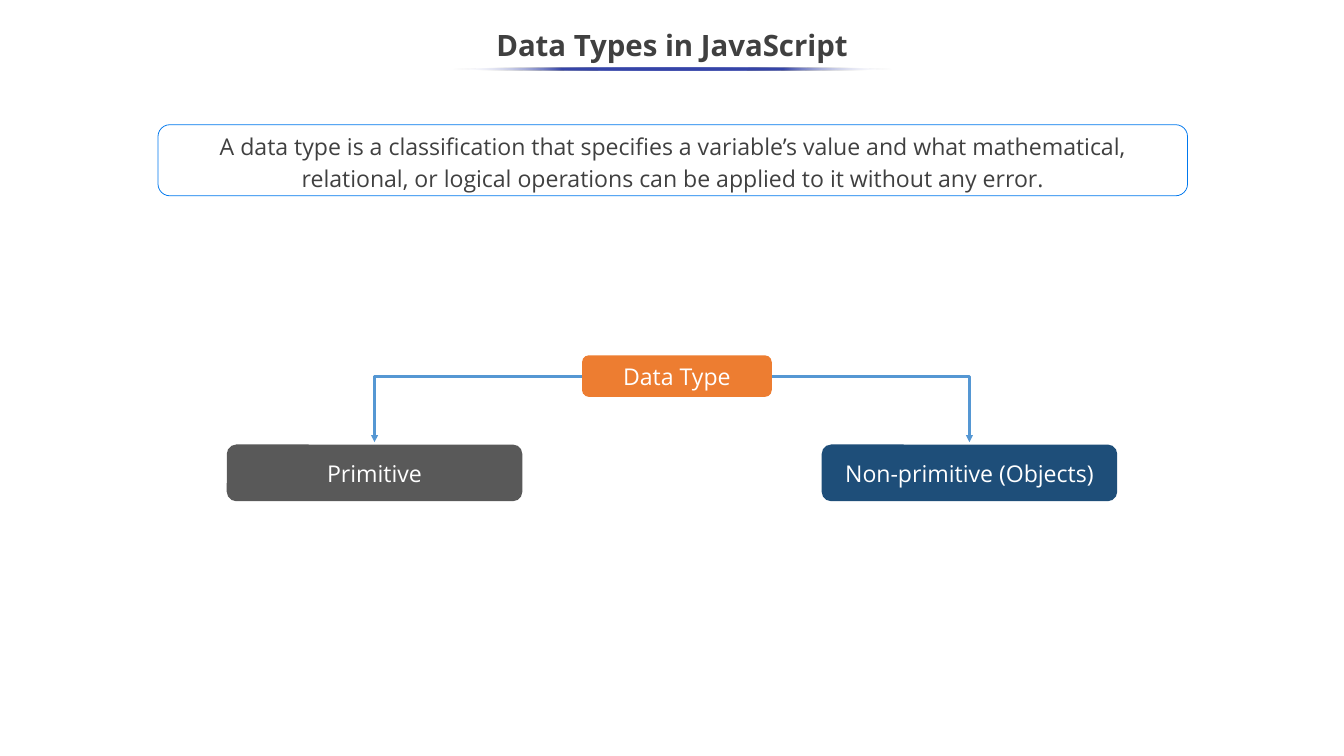
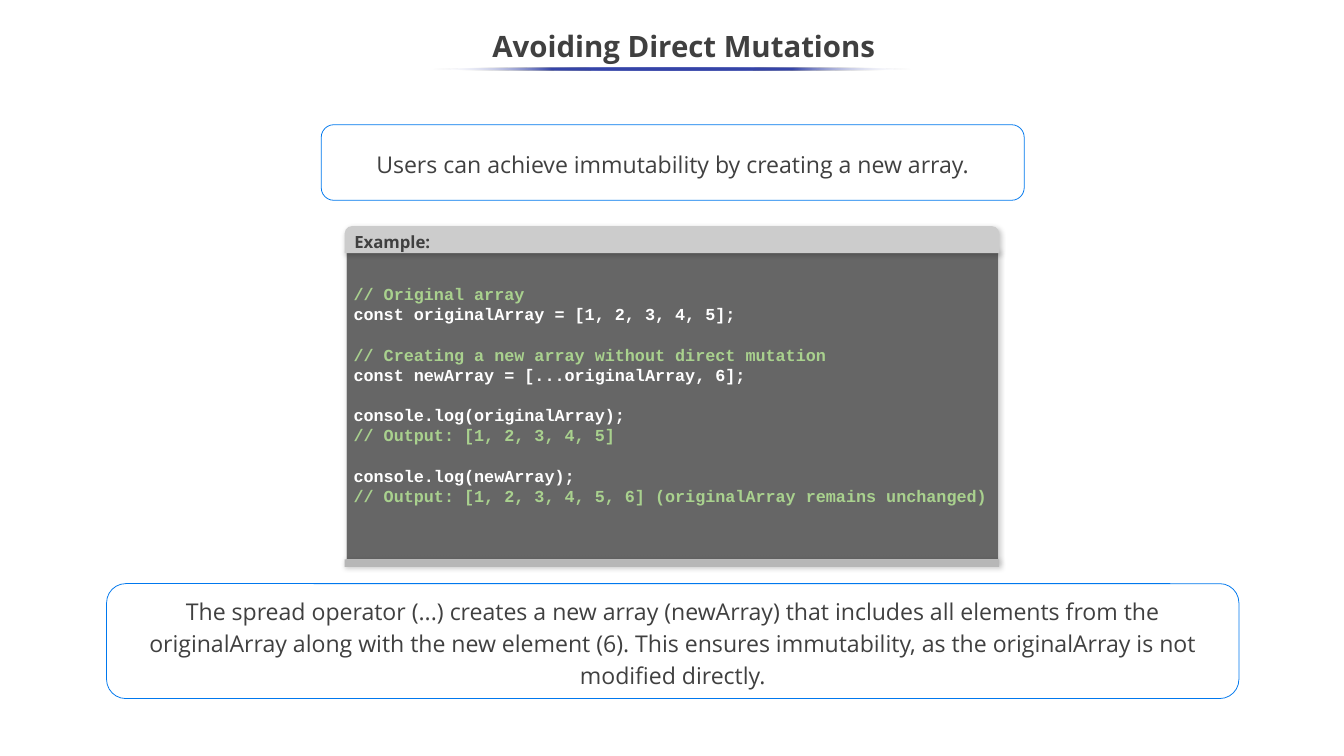
from typing import NamedTuple, Optional

from lxml import etree
from pptx import Presentation
from pptx.dml.color import RGBColor
from pptx.enum.shapes import MSO_CONNECTOR, MSO_SHAPE as Shape
from pptx.enum.text import MSO_ANCHOR, PP_ALIGN as Align
from pptx.oxml.ns import qn
from pptx.util import Inches, Pt

WHITE = RGBColor(0xFF, 0xFF, 0xFF)
BLACK = RGBColor(0x00, 0x00, 0x00)
TEXT = RGBColor(0x40, 0x40, 0x40)
INDIGO = RGBColor(0x36, 0x45, 0xA9)
BLUE = RGBColor(0x00, 0x78, 0xEE)
ARROW_BLUE = RGBColor(0x55, 0x97, 0xD3)
ORANGE = RGBColor(0xED, 0x7D, 0x31)
DARK_GREY = RGBColor(0x59, 0x59, 0x59)
NAVY = RGBColor(0x1E, 0x4E, 0x79)
CODE_BG = RGBColor(0x66, 0x66, 0x66)
HEADER_GREY = RGBColor(0xCC, 0xCC, 0xCC)
FOOTER_GREY = RGBColor(0xB7, 0xB7, 0xB7)
COMMENT_GREEN = RGBColor(0xA9, 0xD1, 0x8E)

SANS, MONO = "Open Sans", "Courier New"
SLIDE_W, SLIDE_H = 17.78, 10
RULE_TOP, RULE_H = 0.89, 0.04
CODE_LINE = Pt(19.2)


class Box(NamedTuple):
    left: float
    top: float
    width: float
    height: float

    def lengths(self) -> list:
        return [Inches(v) for v in self]


class Style(NamedTuple):
    size: float = 22
    color: RGBColor = TEXT
    bold: bool = False
    font: str = SANS


class Node(NamedTuple):
    text: str
    box: Box
    fill: RGBColor


TITLE = Style(28, bold=True)
BODY = Style()
NODE_TEXT = Style(color=WHITE)
EXAMPLE = Style(16, bold=True)
CODE = Style(16, WHITE, True, MONO)
COMMENT = CODE._replace(color=COMMENT_GREEN)

ROOT = Node("Data Type", Box(7.7, 4.7, 2.51, 0.55), ORANGE)
BRANCHES = [
    Node("Primitive", Box(3, 5.88, 3.91, 0.75), DARK_GREY),
    Node("Non-primitive (Objects)", Box(10.87, 5.88, 3.91, 0.75), NAVY),
]

CODE_GROUPS = [
    ["// Original array", "const originalArray = [1, 2, 3, 4, 5];"],
    ["// Creating a new array without direct mutation",
     "const newArray = [...originalArray, 6];"],
    ["console.log(originalArray);", "// Output: [1, 2, 3, 4, 5]"],
    ["console.log(newArray);",
     "// Output: [1, 2, 3, 4, 5, 6] (originalArray remains unchanged)"],
]


def add_run(p, text: str, style: Style) -> None:
    r = p.add_run()
    r.text = text
    r.font.name, r.font.size, r.font.bold = style.font, Pt(style.size), style.bold
    r.font.color.rgb = style.color


def prepare_text(sp, side: float, edge: float):
    """Set wrapping, middle anchoring and insets; return the text frame."""
    tf = sp.text_frame
    tf.word_wrap = True
    tf.vertical_anchor = MSO_ANCHOR.MIDDLE
    tf.margin_left = tf.margin_right = Inches(side)
    tf.margin_top = tf.margin_bottom = Inches(edge)
    return tf


def write(sp, text: str, style: Style, align=Align.CENTER,
          spacing: Optional[float] = None, edge: float = 0.05):
    p = prepare_text(sp, 0.1, edge).paragraphs[0]
    p.alignment = align
    if spacing:
        p.line_spacing = spacing
    add_run(p, text, style)
    return p


def add_shape(s, kind, box: Box, fill: Optional[RGBColor] = None,
              line: Optional[RGBColor] = None):
    sp = s.shapes.add_shape(kind, *box.lengths())
    sp.shadow.inherit = False
    if fill is None:
        sp.fill.background()
    else:
        sp.fill.solid()
        sp.fill.fore_color.rgb = fill
    if line is None:
        sp.line.fill.background()
    else:
        sp.line.color.rgb = line
        sp.line.width = Pt(0.75)
    return sp


def add_color(parent, color: RGBColor, alpha: int = 100) -> None:
    clr = etree.SubElement(parent, qn("a:srgbClr"), val=str(color))
    etree.SubElement(clr, qn("a:alpha"), val=str(alpha * 1000))


def add_shadow(sp) -> None:
    effects = sp.element.spPr.find(qn("a:effectLst"))
    shadow = etree.SubElement(
        effects, qn("a:outerShdw"), blurRad=str(Pt(4.5)), dist=str(Pt(1.5)),
        dir=str(47 * 60000), algn="tl", rotWithShape="0")
    add_color(shadow, BLACK, 20)


def add_title(s, text: str, box: Box, rule_left: float, rule_width: float,
              spacing: Optional[float] = None, indent: float = 0) -> None:
    """Add a centred title and the rule under it, which fades at both ends."""
    p = write(s.shapes.add_textbox(*box.lengths()), text, TITLE, spacing=spacing)
    if indent:
        p._p.get_or_add_pPr().set("marL", str(Inches(indent)))
    rule = add_shape(s, Shape.OVAL, Box(rule_left, RULE_TOP, rule_width, RULE_H))
    rule.fill.gradient()
    rule.fill.gradient_angle = 0
    stops = rule.element.spPr.find(qn("a:gradFill")).find(qn("a:gsLst"))
    for stop in list(stops):
        stops.remove(stop)
    for pos in range(0, 101, 25):
        stop = etree.SubElement(stops, qn("a:gs"), pos=str(pos * 1000))
        if pos in (0, 100):
            add_color(stop, WHITE, 0)
        else:
            add_color(stop, INDIGO)


def add_callout(s, text: str, box: Box) -> None:
    sp = add_shape(s, Shape.ROUNDED_RECTANGLE, box, line=BLUE)
    write(sp, text, BODY, spacing=1.15, edge=0)


def add_node(s, node: Node) -> None:
    sp = add_shape(s, Shape.ROUNDED_RECTANGLE, node.box, node.fill)
    write(sp, node.text, NODE_TEXT)


def add_branch_arrow(s, start_x: float, end_x: float) -> None:
    """Draw an arrow that runs sideways from the root, then down to a branch."""
    c = s.shapes.add_connector(MSO_CONNECTOR.ELBOW, Inches(start_x), Inches(4.98),
                               Inches(end_x), Inches(5.85))
    c.line.color.rgb = ARROW_BLUE
    c.line.width = Pt(2.25)
    spPr = c._element.spPr
    spPr.find(qn("a:prstGeom")).set("prst", "bentConnector2")
    etree.SubElement(spPr.find(qn("a:ln")), qn("a:tailEnd"), type="triangle")
    etree.SubElement(spPr, qn("a:effectLst"))


def add_code_panel(s) -> None:
    body = add_shape(s, Shape.RECTANGLE, Box(4.58, 3.31, 8.63, 4.09),
                     CODE_BG, HEADER_GREY)
    tf = prepare_text(body, 0.1, 0.1)
    tf.margin_bottom = Inches(0.1) + CODE_LINE
    p = tf.paragraphs[0]
    for g, group in enumerate(CODE_GROUPS):
        for i, line in enumerate(group):
            if g or i:
                p = tf.add_paragraph()
            p.alignment = Align.LEFT
            if g and i == 0:
                p.space_before = CODE_LINE
            add_run(p, line, COMMENT if line.startswith("//") else CODE)

    header = add_shape(s, Shape.ROUND_2_SAME_RECTANGLE,
                       Box(4.56, 2.99, 8.66, 0.36), HEADER_GREY)
    header.adjustments[0] = 0.28
    write(header, "Example:", EXAMPLE, Align.LEFT, 1.15, 0.1)
    footer = add_shape(s, Shape.RECTANGLE, Box(4.56, 7.4, 8.66, 0.1), FOOTER_GREY)
    for sp in (body, header, footer):
        add_shadow(sp)


def build_data_types(s) -> None:
    add_title(s, "Data Types in JavaScript", Box(-0.01, 0.25, 17.8, 0.75),
              5.99, 5.82, spacing=0.9)
    root_sides = (ROOT.box.left, 10.08)
    for start_x, branch in zip(root_sides, BRANCHES):
        add_branch_arrow(s, start_x, branch.box.left + branch.box.width / 2)
    for node in [ROOT, *BRANCHES]:
        add_node(s, node)
    add_callout(s, "A data type is a classification that specifies a variable’s value "
                "and what mathematical, relational, or logical operations can be "
                "applied to it without any error.", Box(2.09, 1.65, 13.62, 0.94))


def build_mutations(s) -> None:
    add_title(s, "Avoiding Direct Mutations", Box(0.02, 0.23, 17.8, 0.75),
              5.72, 6.34, indent=0.25)
    add_code_panel(s)
    add_callout(s, "Users can achieve immutability by creating a new array.",
                Box(4.25, 1.65, 9.3, 1))
    add_callout(s, "The spread operator (...) creates a new array (newArray) that "
                "includes all elements from the originalArray along with the new "
                "element (6). This ensures immutability, as the originalArray is not "
                "modified directly.", Box(1.41, 7.72, 14.98, 1.52))


def main() -> None:
    prs = Presentation()
    prs.slide_width, prs.slide_height = Inches(SLIDE_W), Inches(SLIDE_H)
    for build in (build_data_types, build_mutations):
        build(prs.slides.add_slide(prs.slide_layouts[6]))
    prs.save("out.pptx")


if __name__ == "__main__":
    main()
